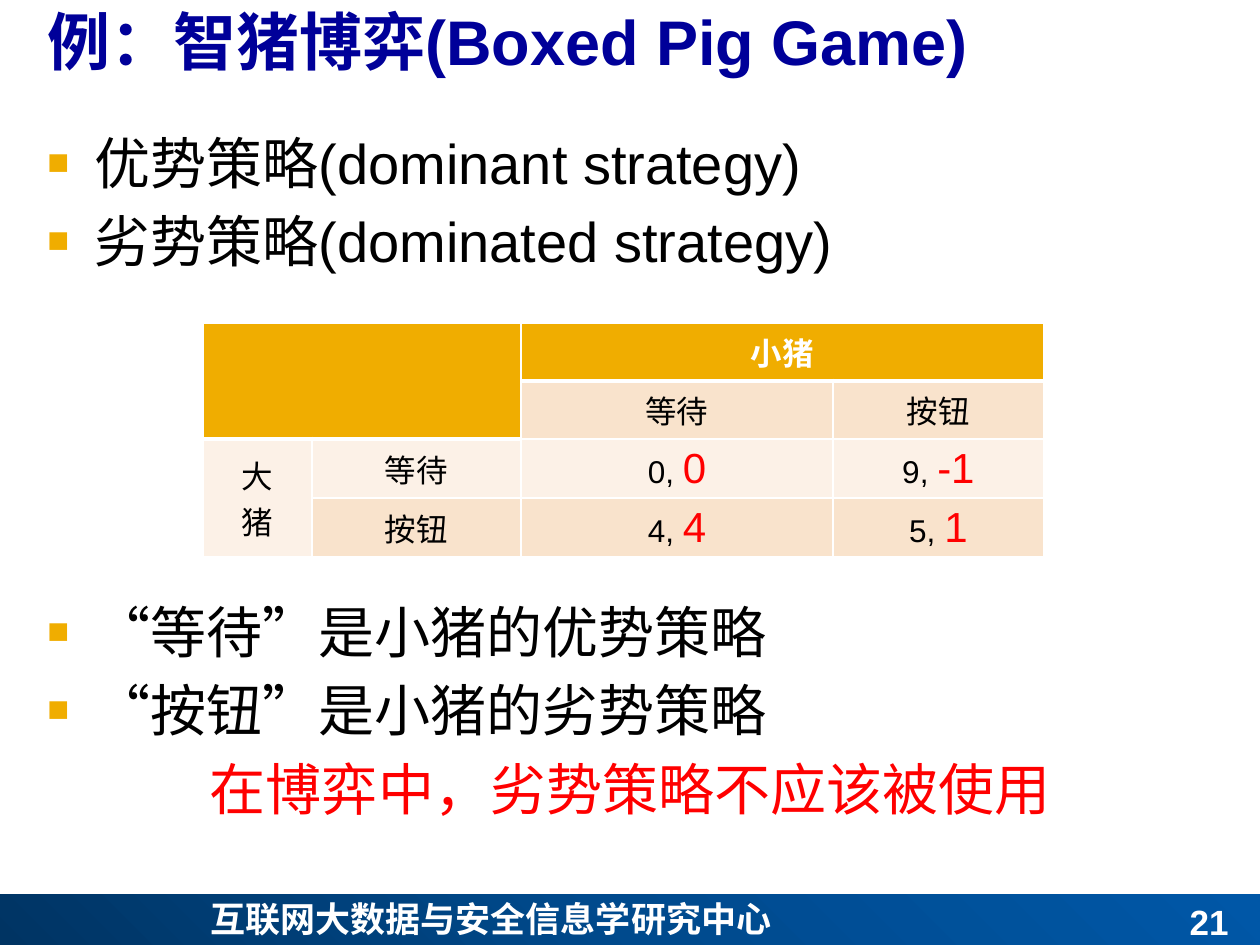
from lxml import etree
from pptx import Presentation
from pptx.dml.color import RGBColor
from pptx.enum.shapes import MSO_SHAPE
from pptx.enum.text import MSO_ANCHOR, PP_ALIGN
from pptx.oxml import parse_xml
from pptx.oxml.ns import nsdecls, qn
from pptx.util import Pt

LEFT, CENTER, RIGHT = PP_ALIGN.LEFT, PP_ALIGN.CENTER, PP_ALIGN.RIGHT
TOP, MIDDLE, BOTTOM = MSO_ANCHOR.TOP, MSO_ANCHOR.MIDDLE, MSO_ANCHOR.BOTTOM
RECTANGLE = MSO_SHAPE.RECTANGLE

NAVY = RGBColor(0x00, 0x00, 0x99)
BLACK = RGBColor(0x00, 0x00, 0x00)
WHITE = RGBColor(0xFF, 0xFF, 0xFF)
RED = RGBColor(0xFF, 0x00, 0x00)
GOLD = RGBColor(0xF0, 0xAD, 0x00)
PEACH = RGBColor(0xF9, 0xE3, 0xCC)
CREAM = RGBColor(0xFC, 0xF1, 0xE7)

PX = 914400 // 126
LATIN, CHINESE = "Arial", "Noto Sans CJK SC"


def add_span(para, text, size, color, bold=False, latin=LATIN):
    span = para.add_run()
    span.text = text
    for name, value in {"size": Pt(size), "bold": bold, "name": latin}.items():
        setattr(span.font, name, value)
    span.font.color.rgb = color
    properties = span.font._element
    properties.set("lang", "zh-CN")
    east_asian = etree.SubElement(properties, qn("a:ea"))
    east_asian.set("typeface", CHINESE)


def add_box(left, top, width, height, anchor=TOP):
    box = page.shapes.add_textbox(left * PX, top * PX, width * PX, height * PX)
    box.text_frame.word_wrap = True
    box.text_frame.vertical_anchor = anchor
    return box.text_frame


deck = Presentation()
deck.slide_width, deck.slide_height = 1260 * PX, 945 * PX
page = deck.slides.add_slide(deck.slide_layouts[6])

# Footer band with a radial gradient from the lower left corner
band = page.shapes.add_shape(RECTANGLE, 0, 894 * PX, 1260 * PX, 55 * PX)
band.shadow.inherit = False
band.line.fill.background()
band.fill.background()
stops = "".join(
    f'<a:gs pos="{position * 1000}"><a:srgbClr val="{color}"/></a:gs>'
    for position, color in [(0, "003463"), (50, "004A8D"), (100, "0057A7")]
)
gradient = parse_xml(
    f'<a:gradFill {nsdecls("a")} rotWithShape="1"><a:gsLst>{stops}</a:gsLst>'
    '<a:path path="circle"><a:fillToRect t="100000" r="100000"/></a:path></a:gradFill>'
)
band_properties = band._element.spPr
band_properties.replace(band_properties.find(qn("a:noFill")), gradient)

# Title, footer name and page number
for text, place, anchor, align, size, color, latin in [
    ("例：智猪博弈(Boxed Pig Game)", (35, -4, 1225, 100), TOP, LEFT, 36, NAVY, LATIN),
    ("互联网大数据与安全信息学研究中心", (198, 891, 863, 55), TOP, LEFT, 20, WHITE, CHINESE),
    ("21", (948, 894, 293, 55), BOTTOM, RIGHT, 20, WHITE, LATIN),
]:
    para = add_box(*place, anchor).paragraphs[0]
    para.alignment = align
    add_span(para, text, size, color, True, latin)

# Bulleted text above and below the table, closed by a red conclusion
for top, height, lines in [
    (122, 170, ["优势策略(dominant strategy)", "劣势策略(dominated strategy)"]),
    (591, 260, ["“等待”是小猪的优势策略", "“按钮”是小猪的劣势策略",
                "在博弈中，劣势策略不应该被使用"]),
]:
    frame = add_box(35, top, 1191, height)
    for index, text in enumerate(lines):
        para = frame.add_paragraph() if index else frame.paragraphs[0]
        if index:
            para.space_before = Pt(6.4)
        if index == 2:
            para.alignment = CENTER
            add_span(para, text, 32, RED)
            continue
        properties = para._element.get_or_add_pPr()
        properties.set("marL", str(47 * PX))
        properties.set("indent", str(-47 * PX))
        bullet_color = etree.SubElement(properties, qn("a:buClr"))
        etree.SubElement(bullet_color, qn("a:srgbClr")).set("val", str(GOLD))
        etree.SubElement(properties, qn("a:buSzPct")).set("val", "65000")
        etree.SubElement(properties, qn("a:buFont")).set("typeface", LATIN)
        etree.SubElement(properties, qn("a:buChar")).set("char", "■")
        add_span(para, text, 32, BLACK)

# Payoff table: each cell lists its paragraphs as (own payoff or label, rival payoff)
columns, heights = [109, 209, 312, 211], [58, 58, 59, 59]
rows = [
    [[], [], [("小猪", "")], []],
    [[], [], [("等待", "")], [("按钮", "")]],
    [[("大", ""), ("猪", "")], [("等待", "")], [("0, ", "0")], [("9, ", "-1")]],
    [[], [("按钮", "")], [("4, ", "4")], [("5, ", "1")]],
]
table_frame = page.shapes.add_table(
    4, 4, 203 * PX, 323 * PX, sum(columns) * PX, sum(heights) * PX)
table = table_frame.table
for column, width in zip(table.columns, columns):
    column.width = width * PX
for row, height in zip(table.rows, heights):
    row.height = height * PX

for row_index, row in enumerate(rows):
    for column_index, content in enumerate(row):
        cell = table.cell(row_index, column_index)
        header = row_index == 0 or (row_index == 1 and column_index < 2)
        header_end = header and row_index == (1 if column_index < 2 else 0)
        header_above = row_index == (2 if column_index < 2 else 1)
        properties = cell._tc.get_or_add_tcPr()
        for side, points in [("L", 1), ("R", 1), ("T", 3 if header_above else 1),
                             ("B", 3 if header_end else 1)]:
            border = etree.SubElement(properties, qn(f"a:ln{side}"), w=str(Pt(points)))
            fill = etree.SubElement(border, qn("a:solidFill"))
            etree.SubElement(fill, qn("a:srgbClr")).set("val", str(WHITE))
        cell.fill.solid()
        cream = row_index == 2 or (row_index == 3 and column_index == 0)
        cell.fill.fore_color.rgb = GOLD if header else CREAM if cream else PEACH
        cell.vertical_anchor = MIDDLE
        cell.margin_top = cell.margin_bottom = 3 * PX
        for index, (label, rival) in enumerate(content):
            frame = cell.text_frame
            para = frame.add_paragraph() if index else frame.paragraphs[0]
            para.alignment = CENTER
            add_span(para, label, 18, WHITE if header else BLACK, header)
            if rival:
                add_span(para, rival, 24, RED)

for first, last in [((0, 0), (1, 1)), ((0, 2), (0, 3)), ((2, 0), (3, 0))]:
    table.cell(*first).merge(table.cell(*last))

deck.save("out.pptx")
